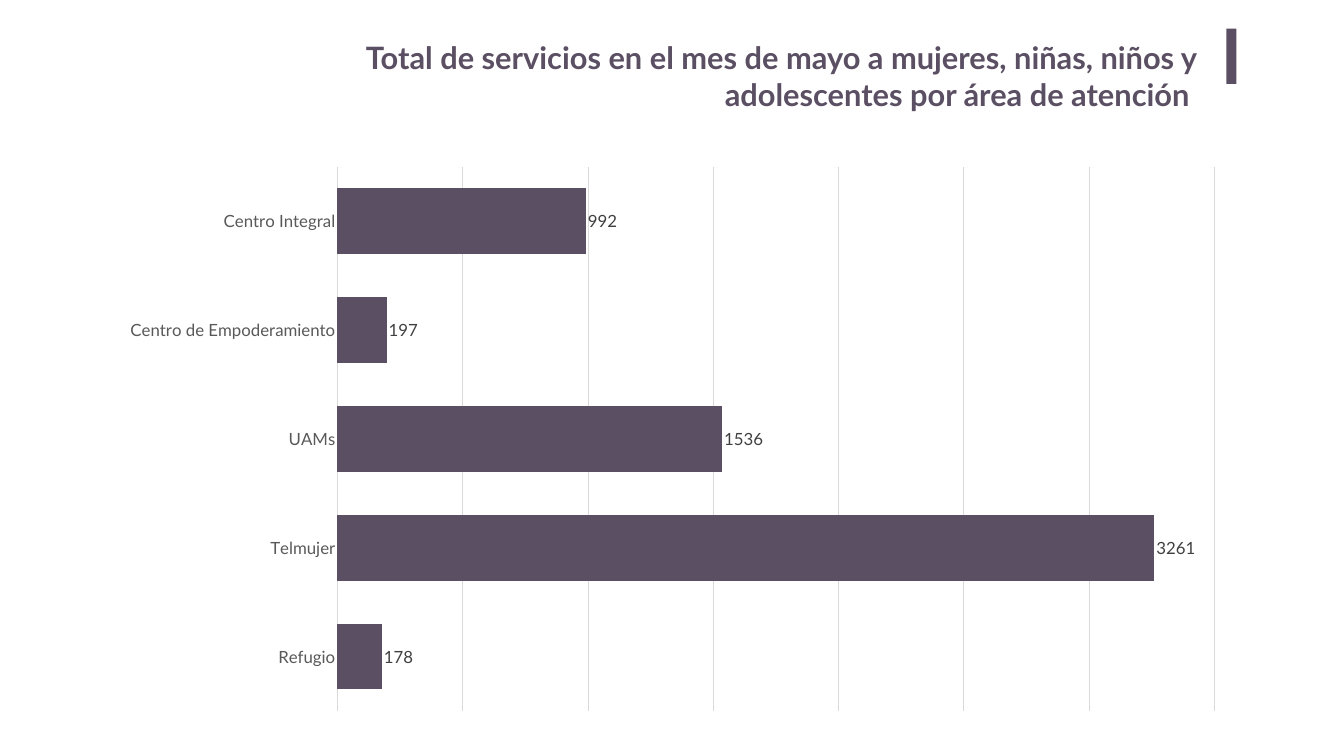
from pptx import Presentation
from pptx.chart.data import CategoryChartData
from pptx.dml.color import RGBColor
from pptx.enum.chart import XL_CHART_TYPE, XL_LABEL_POSITION, XL_TICK_LABEL_POSITION, XL_TICK_MARK
from pptx.enum.shapes import MSO_SHAPE
from pptx.enum.text import MSO_ANCHOR, MSO_AUTO_SIZE, PP_ALIGN
from pptx.util import Inches, Pt

COLORS = {"plum": "5B4F63", "category": "595959", "value": "404040",
          "grid": "D9D9D9", "black": "000000", "white": "FFFFFF"}
COLUMNS, ROWS = 80, 45
SERVICES = {"Centro Integral": 992, "Centro de Empoderamiento": 197,
            "UAMs": 1536, "Telmujer": 3261, "Refugio": 178}


class SlideBuilder:
    font_name = "Lato"

    def __init__(self, deck):
        self.column = deck.slide_width / COLUMNS
        self.row = deck.slide_height / ROWS
        self.page = deck.slides.add_slide(deck.slide_layouts[5])
        fill = self.page.background.fill
        fill.solid()
        fill.fore_color.rgb = self.color("white")

    def color(self, name):
        return RGBColor.from_string(COLORS[name])

    def place(self, left, top, width, height):
        return (round(left * self.column), round(top * self.row),
                round(width * self.column), round(height * self.row))

    def style_font(self, font, size, color, name=font_name, bold=False):
        font.name, font.size, font.bold = name, Pt(size), bold
        font.color.rgb = self.color(color)

    def style_line(self, line):
        line.color.rgb = self.color("grid")
        line.width = Pt(0.75)

    def title(self, text, *area):
        box = self.page.shapes.title
        box.left, box.top, box.width, box.height = self.place(*area)
        frame = box.text_frame
        frame.word_wrap = True
        frame.auto_size = MSO_AUTO_SIZE.NONE
        frame.vertical_anchor = MSO_ANCHOR.TOP
        frame.margin_left = frame.margin_right = Inches(0.2)
        frame.margin_top = frame.margin_bottom = Inches(0.1)
        frame.text = text
        para = frame.paragraphs[0]
        para.alignment = PP_ALIGN.RIGHT
        self.style_font(para.font, 44, "plum", bold=True)

    def accent(self, *area):
        bar = self.page.shapes.add_shape(MSO_SHAPE.RECTANGLE, *self.place(*area))
        bar.shadow.inherit = False
        bar.fill.solid()
        bar.fill.fore_color.rgb = self.color("plum")
        bar.line.fill.background()

    def bar_chart(self, values, *area):
        data = CategoryChartData()
        data.categories = list(values)
        data.add_series("Servicios", list(values.values()))
        chart = self.page.shapes.add_chart(
            XL_CHART_TYPE.BAR_CLUSTERED, *self.place(*area), data).chart
        chart.has_title = chart.has_legend = False
        self.style_font(chart.font, 10, "black", "Arial")

        categories = chart.category_axis
        categories.reverse_order = True
        categories.major_tick_mark = categories.minor_tick_mark = XL_TICK_MARK.NONE
        categories.tick_label_position = XL_TICK_LABEL_POSITION.NEXT_TO_AXIS
        self.style_font(categories.tick_labels.font, 24, "category")
        self.style_line(categories.format.line)

        scale = chart.value_axis
        scale.visible = False
        scale.minimum_scale, scale.maximum_scale, scale.major_unit = 0, 3500, 500
        scale.has_major_gridlines = True
        self.style_line(scale.major_gridlines.format.line)

        plot = chart.plots[0]
        plot.gap_width = 65
        plot.vary_by_categories = False
        series = plot.series[0]
        series.format.fill.solid()
        series.format.fill.fore_color.rgb = self.color("plum")
        labels = series.data_labels
        labels.show_value = True
        labels.position = XL_LABEL_POSITION.OUTSIDE_END
        self.style_font(labels.font, 24, "value")


def main():
    deck = Presentation()
    deck.slide_width, deck.slide_height = Inches(26.67), Inches(15)
    slide = SlideBuilder(deck)
    slide.accent(73, 1.7, 0.6, 3.3)
    slide.title("Total de servicios en el mes de mayo a mujeres, niñas, niños y "
                "adolescentes por área de atención ", 19.68, 2, 52.2, 6.12)
    slide.bar_chart(SERVICES, 6.42, 9.27, 67.2, 33.72)
    deck.save("out.pptx")


if __name__ == "__main__":
    main()
